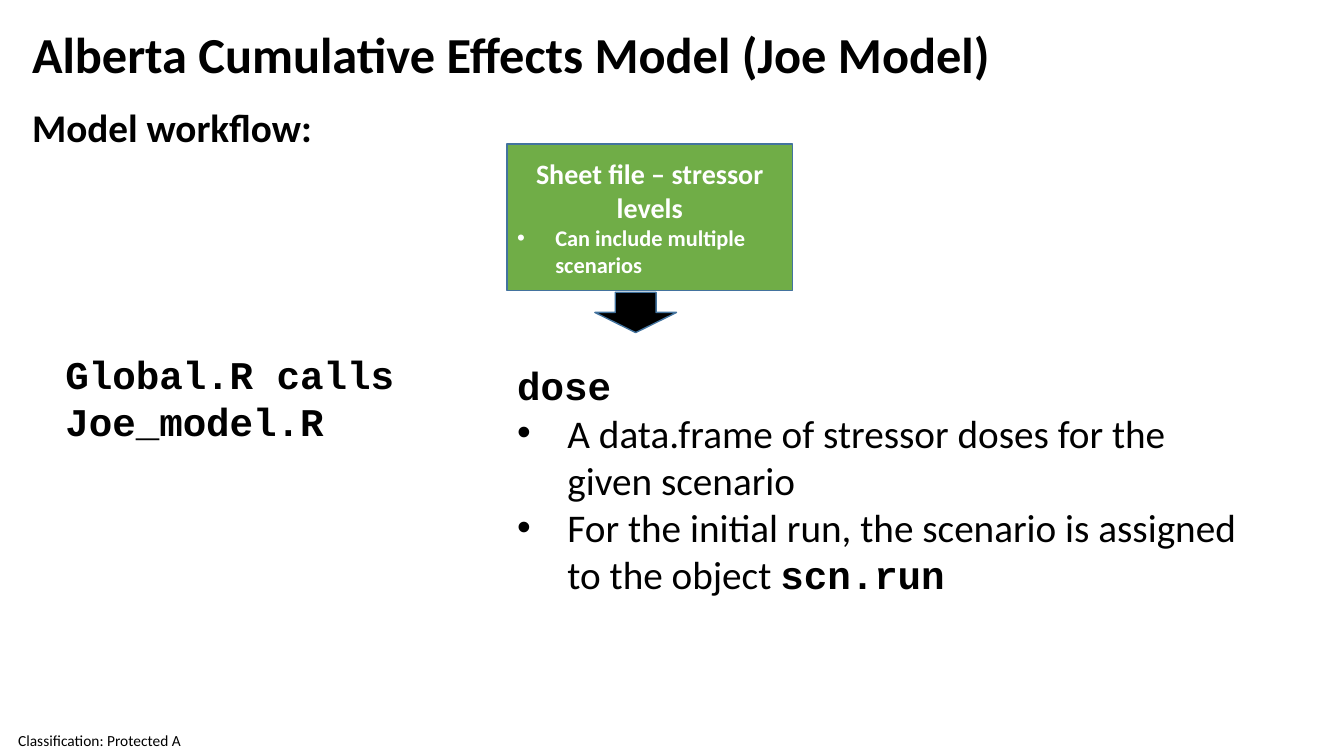
from lxml.etree import SubElement
from pptx import Presentation
from pptx.dml.color import RGBColor
from pptx.enum.shapes import MSO_SHAPE as Shape
from pptx.enum.text import MSO_ANCHOR as Anchor, PP_ALIGN as Align
from pptx.oxml.ns import qn
from pptx.util import Inches, Pt

COLORS = {"text": "000000", "light": "FFFFFF", "stressor": "70AD47", "outline": "43739E"}
BODY, CODE = "Calibri", "Courier New"


def color(name):
    return RGBColor.from_string(COLORS[name])


def add_bullet(paragraph, indent):
    properties = paragraph._p.get_or_add_pPr()
    properties.set("marL", str(Inches(indent)))
    properties.set("indent", str(-Inches(indent)))
    SubElement(properties, qn("a:buFont")).set("typeface", "Arial")
    SubElement(properties, qn("a:buChar")).set("char", "•")


def write(frame, paragraphs, ink="text"):
    for index, (runs, size, indent, align) in enumerate(paragraphs):
        paragraph = frame.paragraphs[0] if index == 0 else frame.add_paragraph()
        paragraph.alignment = align
        if indent:
            add_bullet(paragraph, indent)
        for text, name, bold in runs:
            run = paragraph.add_run()
            run.text = text
            run.font.color.rgb = color(ink)
            for key, value in {"name": name, "size": Pt(size), "bold": bold}.items():
                setattr(run.font, key, value)


def add_text(slide, box, paragraphs, **frame_format):
    frame = slide.shapes.add_textbox(*map(Inches, box)).text_frame
    for key, value in {"word_wrap": True, **frame_format}.items():
        setattr(frame, key, value)
    write(frame, paragraphs)


def add_block(slide, kind, box, fill):
    shape = slide.shapes.add_shape(kind, *map(Inches, box))
    shape.shadow.inherit = False
    shape.fill.solid()
    shape.fill.fore_color.rgb = color(fill)
    shape.line.color.rgb = color("outline")
    shape.line.width = Pt(1)
    return shape


def add_heading(slide, left, top, width):
    for text, size, offset, height in (
        ("Alberta Cumulative Effects Model (Joe Model)", 36, 0, 0.71),
        ("Model workflow:", 28, 0.8, 0.57),
    ):
        add_text(slide, (left, top + offset, width, height),
                 [([(text, BODY, True)], size, 0, Align.LEFT)])


def add_stressor_input(slide, left, top, width, height):
    block = add_block(slide, Shape.RECTANGLE, (left, top, width, height), "stressor")
    block.text_frame.vertical_anchor = Anchor.MIDDLE
    block.text_frame.word_wrap = True
    write(block.text_frame, [
        ([("Sheet file – stressor levels", BODY, True)], 20, 0, Align.CENTER),
        ([("Can include multiple scenarios", BODY, True)], 16, 0.38, Align.LEFT),
    ], "light")
    add_block(slide, Shape.DOWN_ARROW, (left + 0.87, top + height + 0.02, 0.81, 0.4), "text")


def add_calls(slide, *box):
    add_text(slide, box, [([(line, CODE, True)], 28, 0, Align.LEFT)
                          for line in ("Global.R calls", "Joe_model.R")])


def add_dose(slide, *box):
    add_text(slide, box, [
        ([("dose", CODE, True)], 28, 0, Align.LEFT),
        ([("A data.frame of stressor doses for the given scenario", BODY, False)],
         28, 0.5, Align.LEFT),
        ([("For the initial run, the scenario is assigned to the object ", BODY, False),
          ("scn.run", CODE, True)], 28, 0.5, Align.LEFT),
    ])


def add_classification(slide, *box):
    margins = dict.fromkeys(("margin_left", "margin_top", "margin_right", "margin_bottom"), 0)
    add_text(slide, box, [([("Classification: Protected A", BODY, False)], 11, 0, Align.LEFT)],
             vertical_anchor=Anchor.MIDDLE, **margins)


def main():
    presentation = Presentation()
    presentation.slide_width, presentation.slide_height = Inches(13.33), Inches(7.5)
    slide = presentation.slides.add_slide(presentation.slide_layouts[6])
    add_classification(slide, 0.18, 7.19, 1.97, 0.31)
    add_heading(slide, 0.22, 0.18, 12.46)
    add_stressor_input(slide, 5.03, 1.43, 2.83, 1.45)
    add_calls(slide, 0.55, 3.43, 3.6, 1.04)
    add_dose(slide, 5.03, 3.54, 7.39, 2.46)
    presentation.save("out.pptx")


if __name__ == "__main__":
    main()
